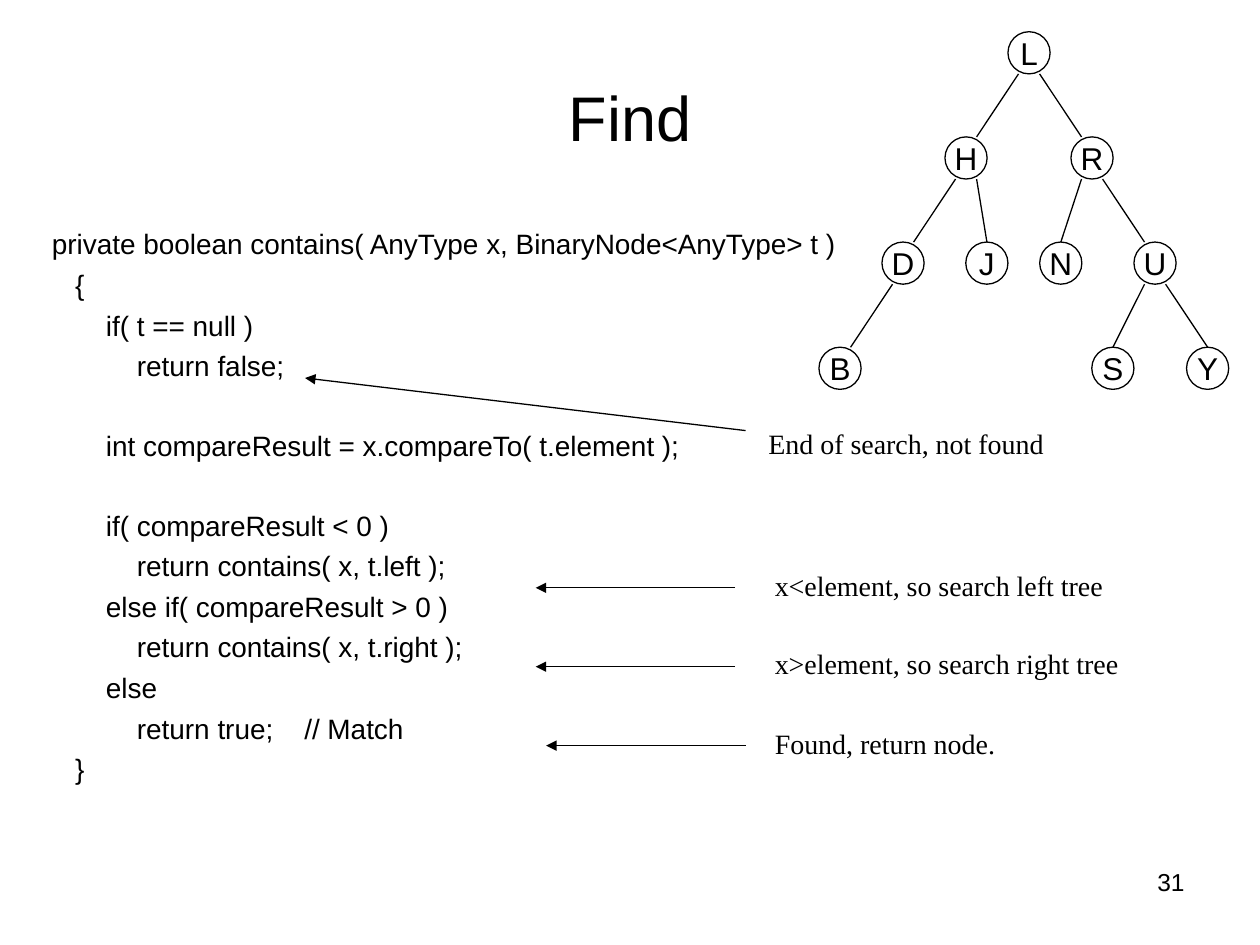
"""Build the slide on finding a value in a binary search tree."""
from dataclasses import dataclass

from lxml.etree import SubElement
from pptx import Presentation
from pptx.dml.color import RGBColor
from pptx.enum.shapes import MSO_CONNECTOR, MSO_SHAPE
from pptx.enum.text import MSO_ANCHOR, PP_ALIGN
from pptx.oxml.ns import qn
from pptx.util import Cm, Pt

INK = "000000"
SANS, SERIF = "Arial", "Times New Roman"
DIAMETER, TREE_TOP, LEVEL_STEP = 0.85, 0.64, 2.12

CODE = """ private boolean contains( AnyType x, BinaryNode<AnyType> t )
    {
        if( t == null )
            return false;

        int compareResult = x.compareTo( t.element );

        if( compareResult < 0 )
            return contains( x, t.left );
        else if( compareResult > 0 )
            return contains( x, t.right );
        else
            return true;    // Match
    }"""


@dataclass
class Node:
    label: str
    left: float
    level: int
    parent: str = ""
    side: int = 0
    entry: float = 0.5

    @property
    def top(self) -> float:
        return TREE_TOP + self.level * LEVEL_STEP


@dataclass
class Callout:
    text: str
    box: tuple[float, float, float]
    start: tuple[float, float]
    end: tuple[float, float]


NODES = [
    Node("L", 20.32, 0),
    Node("H", 19.05, 1, "L", -1, 0.75),
    Node("R", 21.59, 1, "L", 1, 0.25),
    Node("D", 17.78, 2, "H", -1, 0.75),
    Node("J", 19.47, 2, "H", 1),
    Node("N", 20.96, 2, "R", -1),
    Node("U", 22.86, 2, "R", 1, 0.25),
    Node("S", 22.01, 3, "U", -1),
    Node("Y", 23.92, 3, "U", 1),
    Node("B", 16.51, 3, "D", -1, 0.75),
]

CALLOUTS = [
    Callout("End of search, not found", (15.24, 8.47, 6.1), (15.03, 8.68), (6.15, 7.62)),
    Callout("x<element, so search left tree", (15.37, 11.33, 7.16), (14.82, 11.85), (10.8, 11.85)),
    Callout("x>element, so search right tree", (15.37, 12.91, 7.5), (14.82, 13.44), (10.8, 13.44)),
    Callout("Found, return node.", (15.37, 14.52, 4.98), (15.03, 15.03), (11.01, 15.03)),
]


def rgb(value: str) -> RGBColor:
    return RGBColor.from_string(value)


def style(p, size: float, font: str, align=PP_ALIGN.LEFT) -> None:
    p.alignment = align
    for r in p.runs:
        r.font.size, r.font.name = Pt(size), font
        r.font.color.rgb = rgb(INK)


def add_text(s, text: str, box, size: float, font: str, align=PP_ALIGN.LEFT, wrap=True):
    tf = s.shapes.add_textbox(*map(Cm, box)).text_frame
    tf.word_wrap = wrap
    tf.text = text
    style(tf.paragraphs[0], size, font, align)
    return tf


def add_code(s, code: str, box) -> None:
    tf = add_text(s, "", box, 16, SANS)
    gap = 0
    for line in code.split("\n"):
        if not line:
            gap += 22.4
            continue
        p = tf.add_paragraph() if tf.text else tf.paragraphs[0]
        p.text = line
        p.space_before = Pt(gap)
        style(p, 16, SANS)
        gap = 4


def add_line(shapes, start, end, arrow: bool = False) -> None:
    sp = shapes.add_connector(MSO_CONNECTOR.STRAIGHT, *map(Cm, (*start, *end)))
    sp.line.color.rgb = rgb(INK)
    sp.line.width = Pt(0.75)
    if arrow:
        SubElement(sp.line._get_or_add_ln(), qn("a:tailEnd"), type="triangle")
    SubElement(sp._element.spPr, qn("a:effectLst"))


def add_node(shapes, node: Node) -> None:
    box = map(Cm, (node.left, node.top, DIAMETER, DIAMETER))
    sp = shapes.add_shape(MSO_SHAPE.OVAL, *box)
    sp.shadow.inherit = False
    sp.fill.background()
    sp.line.color.rgb = rgb(INK)
    sp.line.width = Pt(0.75)
    tf = sp.text_frame
    tf.margin_left = tf.margin_right = tf.margin_top = tf.margin_bottom = 0
    tf.word_wrap = False
    tf.vertical_anchor = MSO_ANCHOR.MIDDLE
    tf.text = node.label
    style(tf.paragraphs[0], 18, SANS, PP_ALIGN.CENTER)


def add_tree(s, nodes: list[Node]) -> None:
    shapes = s.shapes.add_group_shape().shapes
    by_label = {node.label: node for node in nodes}
    for node in nodes:
        add_node(shapes, node)
    for node in nodes:
        if node.parent:
            parent = by_label[node.parent]
            exit_x = parent.left + DIAMETER * (0.5 + node.side / 4)
            entry_x = node.left + DIAMETER * node.entry
            add_line(shapes, (exit_x, parent.top + DIAMETER), (entry_x, node.top))


def main() -> None:
    prs = Presentation()
    prs.slide_width, prs.slide_height = Cm(25.4), Cm(19.05)
    s = prs.slides.add_slide(prs.slide_layouts[5])
    title = s.shapes.title
    title.left, title.top, title.width, title.height = map(Cm, (1.27, 0.76, 22.86, 3.18))
    title.text_frame.text = "Find"
    title.text_frame.vertical_anchor = MSO_ANCHOR.MIDDLE
    style(title.text_frame.paragraphs[0], 36, SANS, PP_ALIGN.CENTER)
    add_text(s, "31", (18.21, 17.35, 5.92, 1.32), 14, SANS, PP_ALIGN.RIGHT)
    add_code(s, CODE, (0.64, 4.45, 16.71, 12.57))
    for callout in CALLOUTS:
        add_line(s.shapes, callout.start, callout.end, arrow=True)
        add_text(s, callout.text, (*callout.box, 0.94), 16, SERIF, wrap=False)
    add_tree(s, NODES)
    prs.save("out.pptx")


if __name__ == "__main__":
    main()
